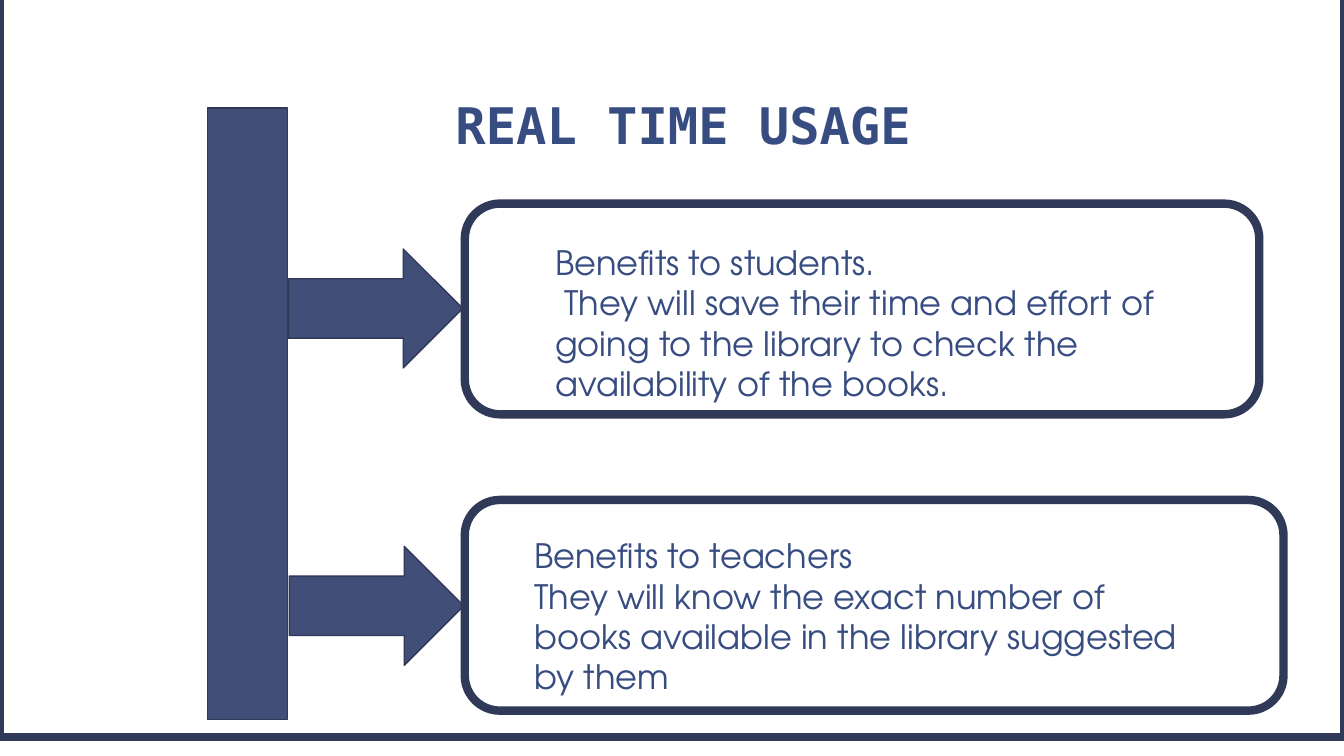
from pptx import Presentation
from pptx.dml.color import RGBColor
from pptx.enum.shapes import MSO_SHAPE as SHAPE
from pptx.enum.text import MSO_ANCHOR as ANCHOR, PP_ALIGN as ALIGN
from pptx.util import Inches, Pt

COLORS = {"background": "FFFFFF", "text": "374C81", "fill": "414E77", "outline": "303A58"}
TITLE_FONT = "DejaVu Sans Mono"
BODY_FONT = "TeX Gyre Adventor"
BENEFITS = [
    {"arrow": (2.86, 2.47), "card": (4.61, 2.02, 7.88, 2.09), "text_box": (0.8, 0.33, 6.61, 1.72),
     "lines": ["Benefits to students.",
               " They will save their time and effort of going to the library "
               "to check the availability of the books."]},
    {"arrow": (2.87, 5.42), "card": (4.61, 4.96, 8.12, 2.09), "text_box": (0.59, 0.3, 6.71, 1.72),
     "lines": ["Benefits to teachers",
               "They will know the exact number of books available in the library "
               "suggested by them"]},
]


def color(name):
    """Return the named palette colour."""
    return RGBColor.from_string(COLORS[name])


def add_shape(slide, kind, box, fill=None, weight=1):
    """Add an outlined preset shape, filled only when a colour is named."""
    sp = slide.shapes.add_shape(kind, *map(Inches, box))
    sp.shadow.inherit = False
    if fill:
        sp.fill.solid()
        sp.fill.fore_color.rgb = color(fill)
    else:
        sp.fill.background()
    sp.line.color.rgb = color("outline")
    sp.line.width = Pt(weight)
    return sp


def add_text(slide, box, lines, font=BODY_FONT, size=24, bold=False,
             align=ALIGN.LEFT, anchor=ANCHOR.TOP, spacing=None):
    """Add a wrapped text box with one paragraph per line."""
    tf = slide.shapes.add_textbox(*map(Inches, box)).text_frame
    tf.word_wrap = True
    tf.vertical_anchor = anchor
    for i, line in enumerate(lines):
        p = tf.paragraphs[0] if i == 0 else tf.add_paragraph()
        p.alignment = align
        p.line_spacing = spacing
        r = p.add_run()
        r.text = line
        r.font.name = font
        r.font.size = Pt(size)
        r.font.bold = bold
        r.font.color.rgb = color("text")
    return tf


def add_title(slide, box, text):
    """Add the centred slide heading at the bottom of its box."""
    tf = add_text(slide, box, [text], font=TITLE_FONT, size=36, bold=True,
                  align=ALIGN.CENTER, anchor=ANCHOR.BOTTOM, spacing=0.85)
    tf.margin_left = tf.margin_right = Inches(0.13)
    tf.margin_top = tf.margin_bottom = Inches(0.07)


def add_benefit(slide, arrow, card, text_box, lines):
    """Add an arrow leading to a rounded card, with text offset from the card."""
    add_shape(slide, SHAPE.RIGHT_ARROW, (*arrow, 1.73, 1.18), fill="fill")
    add_shape(slide, SHAPE.FLOWCHART_ALTERNATE_PROCESS, card, weight=6)
    dx, dy, width, height = text_box
    add_text(slide, (card[0] + dx, card[1] + dy, width, height), lines)


def main():
    """Build and save the slide."""
    prs = Presentation()
    prs.slide_width, prs.slide_height = Inches(13.33), Inches(7.5)
    slide = prs.slides.add_slide(prs.slide_layouts[6])
    slide.background.fill.solid()
    slide.background.fill.fore_color.rgb = color("background")
    add_title(slide, (1.22, 0.08, 11.11, 1.53), "REAL TIME USAGE")
    add_shape(slide, SHAPE.FLOWCHART_PROCESS, (0, -0.19, 13.33, 7.5), weight=6)
    add_shape(slide, SHAPE.FLOWCHART_PROCESS, (2.06, 1.07, 0.79, 6.07), fill="fill")
    for benefit in BENEFITS:
        add_benefit(slide, **benefit)
    prs.save("out.pptx")


if __name__ == "__main__":
    main()
